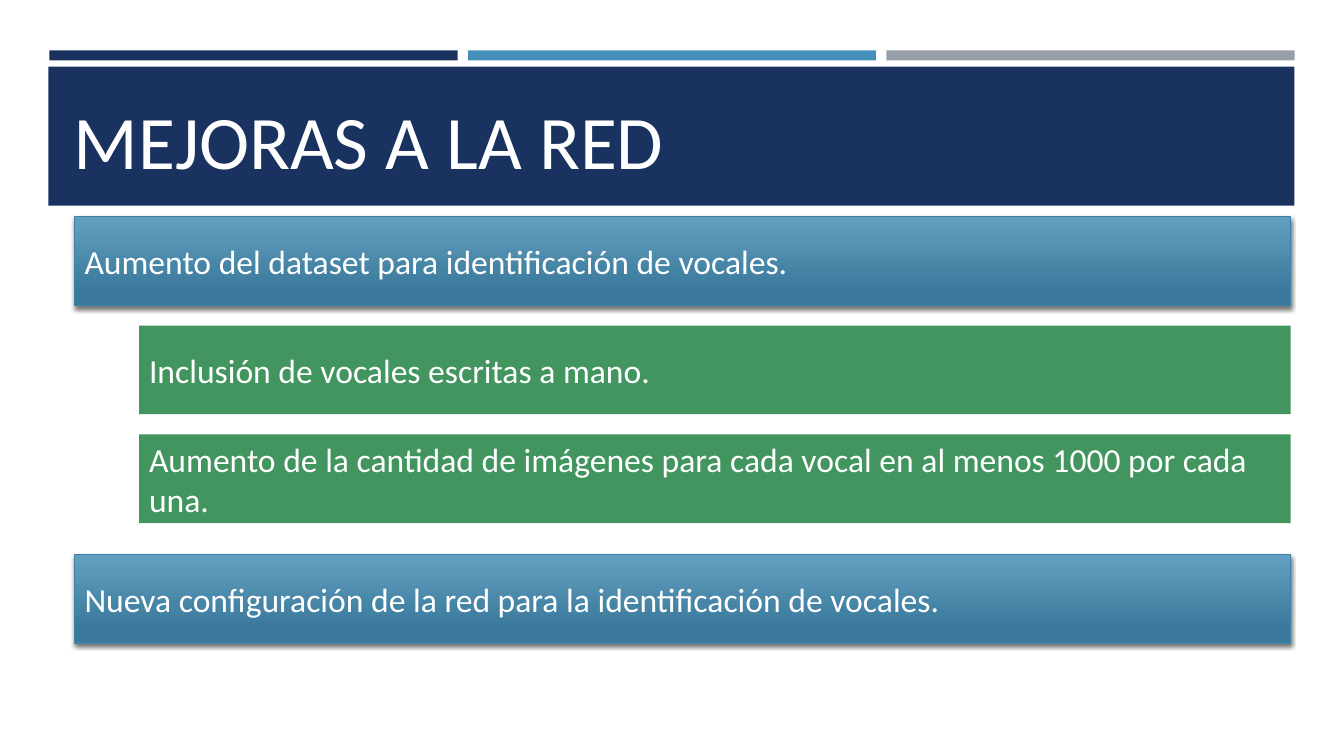
"""Builds the slide on improvements to the network."""
from lxml.etree import SubElement
from pptx import Presentation
from pptx.dml.color import RGBColor
from pptx.enum.shapes import MSO_SHAPE
from pptx.enum.text import MSO_ANCHOR, MSO_AUTO_SIZE, PP_ALIGN
from pptx.oxml.ns import qn
from pptx.util import Inches, Pt

NAVY = RGBColor(0x1A, 0x32, 0x60)
BLUE = RGBColor(0x45, 0x90, 0xB8)
GRAY = RGBColor(0x96, 0x9F, 0xA7)
GREEN = RGBColor(0x42, 0x95, 0x5F)
WHITE = RGBColor(0xFF, 0xFF, 0xFF)
GRADIENT_TOP = RGBColor(0x63, 0x9F, 0xC1)
GRADIENT_BOTTOM = RGBColor(0x3A, 0x79, 0x9B)
OUTLINE = RGBColor(0x3E, 0x82, 0xA6)

TITLE = "MEJORAS A LA RED"
IMPROVEMENTS = [
    ("Aumento del dataset para identificación de vocales.", [
        "Inclusión de vocales escritas a mano.",
        "Aumento de la cantidad de imágenes para cada vocal en al menos 1000 por cada una.",
    ]),
    ("Nueva configuración de la red para la identificación de vocales.", []),
]
STRIPES = [NAVY, BLUE, GRAY]

STRIPE_LEFT, STRIPE_TOP, STRIPE_WIDTH, STRIPE_HEIGHT = 0.49, 0.5, 4.05, 0.1
STRIPE_STEP = 4.15
ROW_LEFT, ROW_RIGHT, ROW_TOP = 0.74, 12.8, 2.15
ROW_HEIGHT, ROW_STEP, INDENT, GROUP_GAP = 0.88, 1.08, 0.64, 0.11


def add_box(page, left, top, width, height, color):
    box = page.shapes.add_shape(MSO_SHAPE.RECTANGLE, Inches(left), Inches(top),
                                Inches(width), Inches(height))
    box.shadow.inherit = False
    box.fill.solid()
    box.fill.fore_color.rgb = color
    box.line.fill.background()
    return box


def write(box, text, size, anchor):
    frame = box.text_frame
    frame.word_wrap = True
    frame.auto_size = MSO_AUTO_SIZE.NONE
    frame.vertical_anchor = anchor
    para = frame.paragraphs[0]
    para.alignment = PP_ALIGN.LEFT
    span = para.add_run()
    span.text = text
    span.font.name = "Calibri"
    span.font.size = Pt(size)
    span.font.color.rgb = WHITE


def add_relief(box):
    box.fill.gradient()
    box.fill.gradient_angle = 270
    stops = box.fill.gradient_stops
    for stop, position, color in zip(stops, (0, 0.84), (GRADIENT_TOP, GRADIENT_BOTTOM)):
        stop.position = position
        stop.color.rgb = color
    box.line.color.rgb = OUTLINE
    box.line.width = Pt(1)
    effects = box._element.spPr.find(qn("a:effectLst"))
    shadow = SubElement(effects, qn("a:outerShdw"), blurRad=str(Pt(3)), dist=str(Pt(2)),
                        dir="5400000", algn="ctr", rotWithShape="0")
    tint = SubElement(shadow, qn("a:srgbClr"), val="000000")
    SubElement(tint, qn("a:alpha"), val="55000")


def add_row(page, text, top, indent=0):
    left = ROW_LEFT + indent
    box = add_box(page, left, top, ROW_RIGHT - left, ROW_HEIGHT, GREEN)
    if not indent:
        add_relief(box)
    write(box, text, 24, MSO_ANCHOR.MIDDLE)


def main():
    deck = Presentation()
    deck.slide_width, deck.slide_height = Inches(13.33), Inches(7.5)
    page = deck.slides.add_slide(deck.slide_layouts[5])

    for column, color in enumerate(STRIPES):
        add_box(page, STRIPE_LEFT + column * STRIPE_STEP, STRIPE_TOP,
                STRIPE_WIDTH, STRIPE_HEIGHT, color)
    add_box(page, 0.48, 0.66, 12.36, 1.38, NAVY)

    title = page.shapes.title
    title.left, title.top = Inches(0.63), Inches(0.8)
    title.width, title.height = Inches(12.06), Inches(1.08)
    write(title, TITLE, 54, MSO_ANCHOR.BOTTOM)
    title._element.getparent().append(title._element)

    top = ROW_TOP
    for improvement, details in IMPROVEMENTS:
        add_row(page, improvement, top)
        for detail in details:
            top += ROW_STEP
            add_row(page, detail, top, indent=INDENT)
        top += ROW_STEP + GROUP_GAP

    deck.save("out.pptx")


if __name__ == "__main__":
    main()
